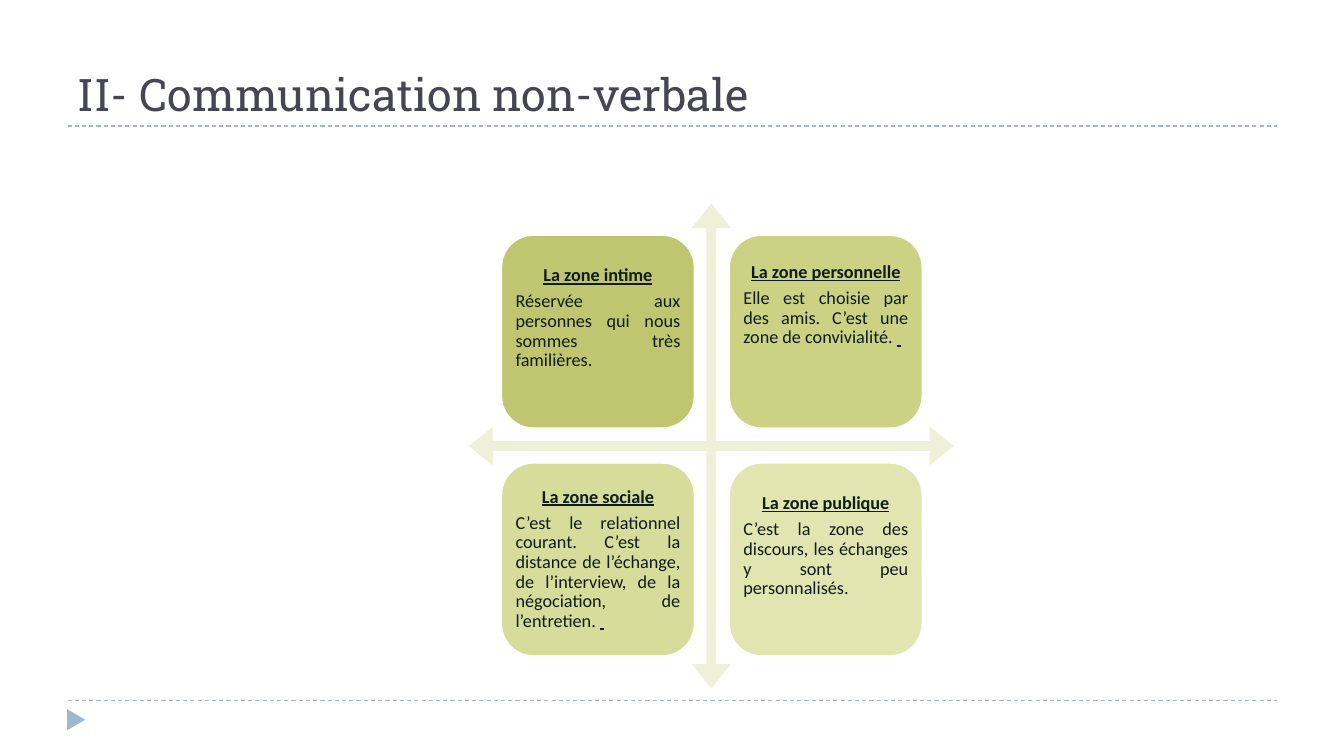
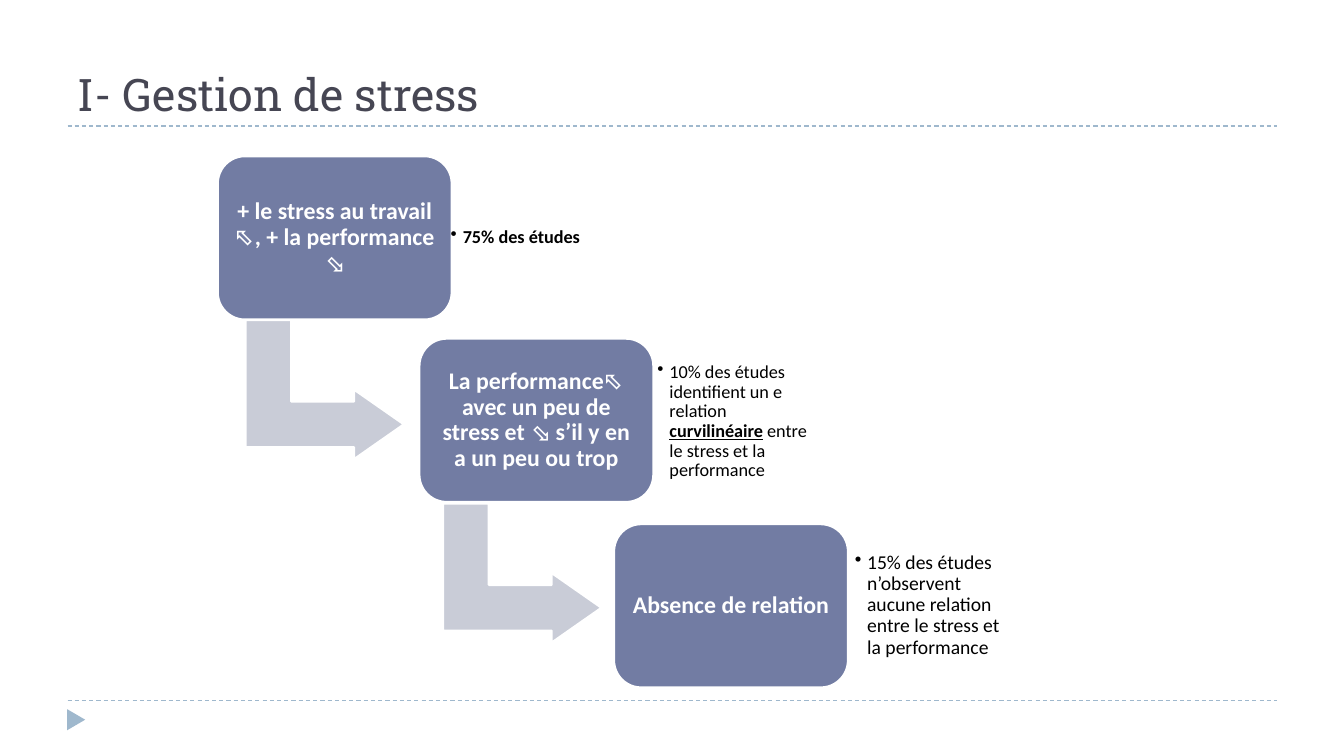
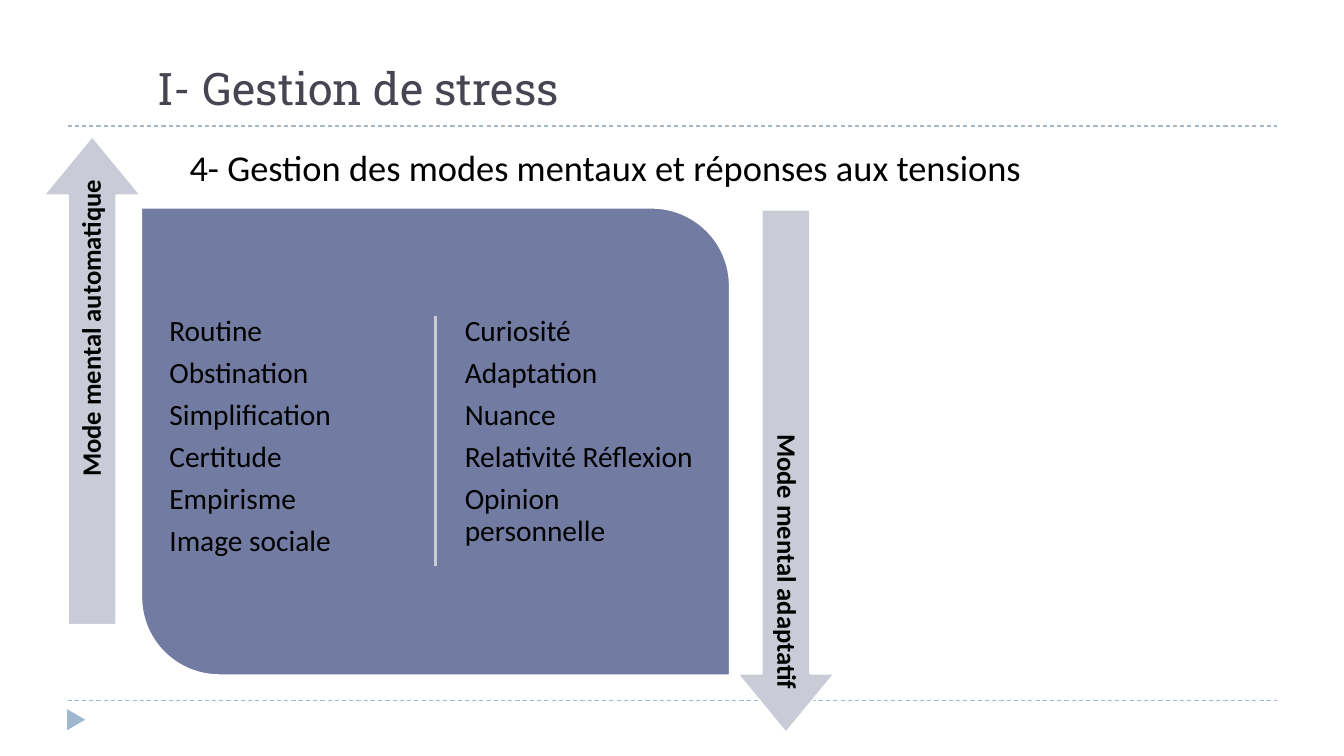
"""Build three slides on non-verbal communication and stress management."""
from dataclasses import dataclass
from typing import Any

from lxml.etree import SubElement
from pptx import Presentation
from pptx.dml.color import RGBColor
from pptx.enum.dml import MSO_LINE_DASH_STYLE as Dash
from pptx.enum.shapes import MSO_CONNECTOR as Connector
from pptx.enum.shapes import MSO_SHAPE as Preset
from pptx.enum.text import MSO_ANCHOR as Anchor
from pptx.enum.text import MSO_AUTO_SIZE as AutoSize
from pptx.enum.text import PP_ALIGN as Align
from pptx.oxml.ns import qn
from pptx.shapes.base import BaseShape
from pptx.slide import Slide
from pptx.text.text import TextFrame
from pptx.util import Emu, Pt

PX = 9144
TITLE_FONT, BODY_FONT = "Roboto Slab", "Calibri"
BLACK, WHITE = "000000", "FFFFFF"
RULE, TITLE_INK, BLUE, PALE_BLUE = "9FB8CD", "464653", "727CA3", "C9CCD7"
PALE_GREEN, CARD_INK = "EEF1D7", "101B1D"
TITLE_ONLY, TITLE_AND_CONTENT = 5, 1


@dataclass(frozen=True)
class Box:
    left: int
    top: int
    width: int
    height: int

    def emu(self) -> list[Emu]:
        return [px(value) for value in (self.left, self.top, self.width, self.height)]


@dataclass(frozen=True)
class Run:
    text: str
    bold: bool = False
    underline: bool = False


@dataclass(frozen=True)
class Line:
    runs: tuple[Run, ...]
    align: Align = Align.LEFT


@dataclass(frozen=True)
class TextStyle:
    size: int
    color: str = BLACK
    font: str = BODY_FONT
    spacing: float = 0.9
    after: float = 0.35
    anchor: Anchor = Anchor.MIDDLE
    insets: tuple[int, int, int, int] = (7, 7, 7, 7)
    bullet: str | None = None


@dataclass(frozen=True)
class ZoneCard:
    title: str
    body: tuple[Run, ...]
    fill: str
    bottom_inset: int


@dataclass(frozen=True)
class Step:
    left: int
    top: int
    label: str
    note: tuple[Run, ...]
    note_box: Box
    note_size: int = 13


@dataclass(frozen=True)
class ModeArrow:
    box: Box
    rotation: int
    label: str


ZONES = (
    ZoneCard("La zone intime",
             (Run("Réservée aux personnes qui nous sommes très familières."),),
             "BFC66F", 31),
    ZoneCard("La zone personnelle",
             (Run("Elle est choisie par des amis. C’est une zone de convivialité. "),
              Run(" ", True, True)),
             "CBD284", 57),
    ZoneCard("La zone sociale",
             (Run("C’est le relationnel courant. C’est la distance de l’échange, "
                  "de l’interview, de la négociation, de l’entretien. "),
              Run(" ", True, True)),
             "D6DC9A", 5),
    ZoneCard("La zone publique",
             (Run("C’est la zone des discours, les échanges y sont peu personnalisés."),),
             "E1E6B1", 31),
)
STEPS = (
    Step(216, 155, "+ le stress au travail ⬁, + la performance ⬂",
         (Run("75% des études", True),), Box(440, 167, 185, 137)),
    Step(416, 336,
         "La performance⬁ avec un peu de stress et ⬂ s’il y en a un peu ou trop",
         (Run("10% des études identifient un e relation "),
          Run("curvilinéaire", True, True),
          Run(" entre le stress et la performance")), Box(645, 353, 169, 131)),
    Step(609, 520, "Absence de relation",
         (Run("15% des études n’observent aucune relation entre le stress "
              "et la performance"),), Box(841, 535, 169, 131), 14),
)
STEP_ARROWS = (Box(253, 308, 138, 157), Box(449, 490, 138, 157))
MODE_COLUMNS = (
    ("Routine", "Obstination", "Simplification", "Certitude", "Empirisme",
     "Image sociale"),
    ("Curiosité", "Adaptation", "Nuance", "Relativité Réflexion",
     "Opinion personnelle"),
)
MODE_ARROWS = (
    ModeArrow(Box(-151, 329, 485, 97), 270, "Mode mental automatique"),
    ModeArrow(Box(520, 419, 519, 97), 90, "Mode mental adaptatif"),
)


def px(value: int) -> Emu:
    """Turn whole pixels, a hundred to the inch, into EMU."""
    return Emu(value * PX)


def rgb(color: str) -> RGBColor:
    """Turn a hex string into a colour."""
    return RGBColor.from_string(color)


def apply_format(target: Any, values: dict[str, Any]) -> None:
    """Set each named attribute of the target."""
    for name, value in values.items():
        setattr(target, name, value)


def write_text(frame: TextFrame, lines: list[Line], style: TextStyle) -> None:
    """Fill a text frame with formatted paragraphs."""
    left, top, right, bottom = (px(inset) for inset in style.insets)
    apply_format(frame, {
        "word_wrap": True, "auto_size": AutoSize.NONE, "vertical_anchor": style.anchor,
        "margin_left": left, "margin_top": top,
        "margin_right": right, "margin_bottom": bottom,
    })
    for index, line in enumerate(lines):
        paragraph = frame.paragraphs[0] if index == 0 else frame.add_paragraph()
        apply_format(paragraph, {
            "alignment": line.align, "line_spacing": style.spacing,
            "space_before": Pt(0), "space_after": Pt(round(style.size * style.after, 1)),
        })
        properties = paragraph.element.get_or_add_pPr() if hasattr(
            paragraph, "element") else paragraph._p.get_or_add_pPr()
        indent = px(12) if style.bullet else 0
        properties.set("marL", str(indent))
        properties.set("indent", str(-indent))
        if style.bullet:
            SubElement(properties, qn("a:buChar")).set("char", style.bullet)
        else:
            SubElement(properties, qn("a:buNone"))
        for item in line.runs:
            run = paragraph.add_run()
            run.text = item.text
            apply_format(run.font, {
                "name": style.font, "size": Pt(style.size),
                "bold": item.bold, "underline": item.underline,
            })
            run.font.color.rgb = rgb(style.color)


def add_preset(slide: Slide, preset: Preset, box: Box, fill: str, outline: bool = True,
               adjustments: tuple[float, ...] = (), rotation: int = 0) -> BaseShape:
    """Draw a filled preset shape, with a white outline if wanted."""
    shape = slide.shapes.add_shape(preset, *box.emu())
    shape.shadow.inherit = False
    shape.rotation = rotation
    shape.fill.solid()
    shape.fill.fore_color.rgb = rgb(fill)
    if outline:
        shape.line.color.rgb = rgb(WHITE)
        shape.line.width = Pt(1.5)
    else:
        shape.line.fill.background()
    for index, value in enumerate(adjustments):
        shape.adjustments[index] = value
    return shape


def add_line(slide: Slide, start: tuple[int, int], end: tuple[int, int], color: str,
             width: float, dash: Dash | None = None) -> BaseShape:
    """Draw a straight line without a shadow."""
    line = slide.shapes.add_connector(
        Connector.STRAIGHT, *(px(value) for value in start + end))
    line.line.color.rgb = rgb(color)
    apply_format(line.line, {"width": Pt(width), "dash_style": dash})
    SubElement(line.element.spPr, qn("a:effectLst"))
    return line


def add_text(slide: Slide, box: Box, lines: list[Line], style: TextStyle) -> None:
    """Add a text box."""
    write_text(slide.shapes.add_textbox(*box.emu()).text_frame, lines, style)


def place_text(shape: BaseShape, box: Box, text: str, style: TextStyle) -> None:
    """Move a placeholder and write one line in it."""
    apply_format(shape, dict(zip(("left", "top", "width", "height"), box.emu())))
    write_text(shape.text_frame, [Line((Run(text),))], style)


def add_slide(presentation: Presentation, layout: int, title: str,
              title_box: Box = Box(67, 17, 1200, 108)) -> Slide:
    """Add a slide with the shared title style."""
    slide = presentation.slides.add_slide(presentation.slide_layouts[layout])
    place_text(slide.shapes.title, title_box, title,
               TextStyle(32, TITLE_INK, TITLE_FONT, 1, 0, Anchor.BOTTOM, (10, 5, 10, 5)))
    return slide


def move_frame_to_master(presentation: Presentation, slide: Slide) -> None:
    """Draw the rules and the corner triangle, and hand them to the master."""
    parts = [add_line(slide, (67, y), (1267, y), RULE, 0.75, Dash.DASH)
             for y in (695, 125)]
    parts.append(add_preset(slide, Preset.ISOSCELES_TRIANGLE, Box(65, 705, 21, 18),
                            RULE, False, rotation=90))
    tree = presentation.slide_master.element.cSld.spTree
    for number, part in enumerate(parts, start=101):
        part.element.xpath(".//p:cNvPr")[0].set("id", str(number))
        tree.append(part.element)


def build_zones(presentation: Presentation) -> None:
    """Draw the four zones around a cross of arrows."""
    slide = add_slide(presentation, TITLE_ONLY, "II- Communication non-verbale")
    move_frame_to_master(presentation, slide)
    add_preset(slide, Preset.QUAD_ARROW, Box(465, 202, 481, 481), PALE_GREEN, False,
               (0.02, 0.04, 0.05))
    for index, zone in enumerate(ZONES):
        row, column = divmod(index, 2)
        card = add_preset(slide, Preset.ROUNDED_RECTANGLE,
                          Box(497 + 226 * column, 233 + 226 * row, 192, 192), zone.fill)
        lines = [Line((Run(zone.title, True, True),), Align.CENTER),
                 Line(zone.body, Align.JUSTIFY)]
        write_text(card.text_frame, lines,
                   TextStyle(13, CARD_INK, insets=(5, 5, 5, zone.bottom_inset)))


def build_steps(presentation: Presentation) -> None:
    """Draw the three findings as a staircase."""
    slide = add_slide(presentation, TITLE_ONLY, "I- Gestion de stress")
    for box in STEP_ARROWS:
        add_preset(slide, Preset.BENT_UP_ARROW, box, PALE_BLUE,
                   adjustments=(0.328, 0.25, 0.358), rotation=90)
    for step in STEPS:
        card = add_preset(slide, Preset.ROUNDED_RECTANGLE,
                          Box(step.left, step.top, 232, 162), BLUE)
        write_text(card.text_frame, [Line((Run(step.label, True),), Align.CENTER)],
                   TextStyle(17, WHITE))
        add_text(slide, step.note_box, [Line(step.note)],
                 TextStyle(step.note_size, after=0.15, bullet="•"))


def build_modes(presentation: Presentation) -> None:
    """Draw the two mental modes side by side."""
    slide = add_slide(presentation, TITLE_AND_CONTENT, "I- Gestion de stress",
                      Box(146, 11, 900, 108))
    place_text(slide.placeholders[1], Box(178, 139, 900, 533),
               "4- Gestion des modes mentaux et réponses aux tensions",
               TextStyle(26, spacing=1, after=0, anchor=Anchor.TOP, insets=(10, 5, 10, 5)))
    add_preset(slide, Preset.ROUND_2_DIAG_RECTANGLE, Box(140, 206, 584, 464), BLUE,
               adjustments=(0, 0.167))
    add_line(slide, (432, 314), (432, 562), PALE_BLUE, 1.5)
    for index, words in enumerate(MODE_COLUMNS):
        add_text(slide, Box(159 + 293 * index, 305, 253, 267),
                 [Line((Run(word),)) for word in words],
                 TextStyle(21, anchor=Anchor.TOP, insets=(9, 9, 9, 9)))
    for mode in MODE_ARROWS:
        arrow = add_preset(slide, Preset.RIGHT_ARROW, mode.box, PALE_BLUE,
                           adjustments=(0.498, 0.607), rotation=mode.rotation)
        write_text(arrow.text_frame, [Line((Run(mode.label, True),), Align.RIGHT)],
                   TextStyle(19, insets=(8, 8, 14, 8)))


def main() -> None:
    """Build and save the presentation."""
    presentation = Presentation()
    apply_format(presentation, {"slide_width": px(1333), "slide_height": px(750)})
    build_zones(presentation)
    build_steps(presentation)
    build_modes(presentation)
    presentation.save("out.pptx")


if __name__ == "__main__":
    main()
